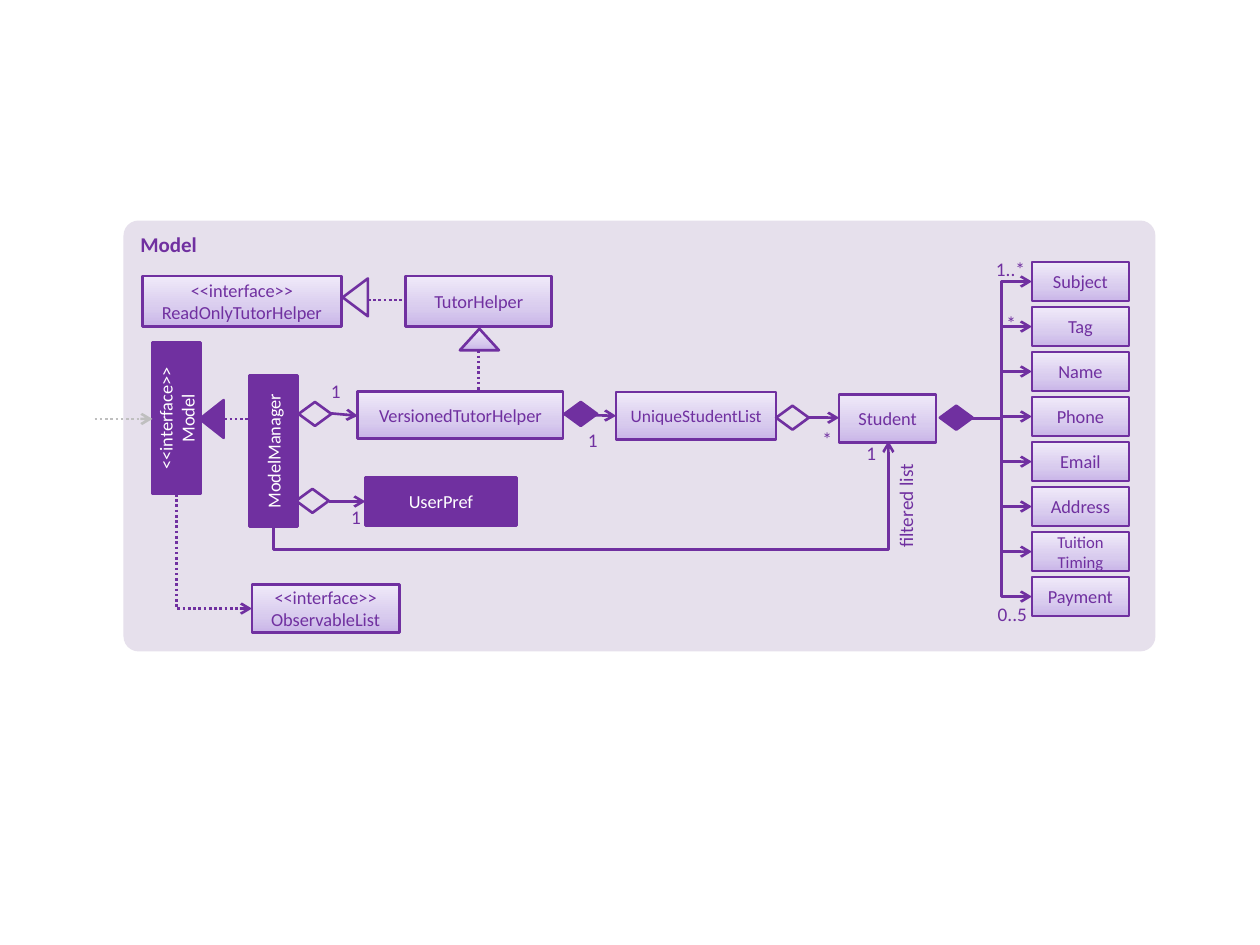
from copy import deepcopy
from dataclasses import dataclass

from lxml.etree import SubElement
from pptx import Presentation
from pptx.dml.color import RGBColor as RGB
from pptx.enum.dml import MSO_LINE
from pptx.enum.shapes import MSO_CONNECTOR as LINK, MSO_SHAPE as SHAPE
from pptx.enum.text import MSO_ANCHOR as ANCHOR, PP_ALIGN as ALIGN
from pptx.oxml.ns import qn
from pptx.util import Emu, Inches, Pt


@dataclass(frozen=True)
class Theme:
    """Colours, font and type sizes."""
    ink: str = "7030A0"
    panel: str = "E6E0EC"
    white: str = "FFFFFF"
    grey: str = "BFBFBF"
    shade: tuple = ((0, "C9B5E8"), (0.35, "D8CBEE"), (1, "F0EAF9"))
    font: str = "Calibri"
    title: float = 12
    label: float = 11
    body: float = 10.5
    small: float = 10
    tiny: float = 9.5
    stroke: float = 1.5


T = Theme()
COLS, ROWS = 100, 75
WIDTH, HEIGHT = Inches(10), Inches(7.5)


def col(n):
    """Length of n grid columns."""
    return Emu(round(WIDTH * n / COLS))


def row(n):
    """Length of n grid rows."""
    return Emu(round(HEIGHT * n / ROWS))


def frame(at):
    """Left, top, width and height from grid units."""
    x, y, w, h = at
    return col(x), row(y), col(w), row(h)


def write(sp, text, size, color, align=ALIGN.CENTER, bold=False):
    """Write paragraphs split at newlines, with line breaks at vertical tabs."""
    tf = sp.text_frame
    tf.word_wrap = True
    for i, para in enumerate(text.split("\n")):
        p = tf.add_paragraph() if i else tf.paragraphs[0]
        p.alignment = align
        for j, part in enumerate(para.split("\v")):
            if j:
                p.add_line_break()
            r = p.add_run()
            r.text = part
            r.font.name, r.font.size, r.font.bold = T.font, Pt(size), bold
            r.font.color.rgb = RGB.from_string(color)


def paint(sp, fill):
    """Fill with a colour, with the shade gradient, or not at all."""
    if fill is None:
        sp.fill.background()
    elif fill == T.shade:
        sp.fill.gradient()
        sp.fill.gradient_angle = 90
        stops = sp.element.spPr.find(qn("a:gradFill")).find(qn("a:gsLst"))
        stops.append(deepcopy(stops[-1]))
        for stop, (pos, color) in zip(sp.fill.gradient_stops, fill):
            stop.position = pos
            stop.color.rgb = RGB.from_string(color)
    else:
        sp.fill.solid()
        sp.fill.fore_color.rgb = RGB.from_string(fill)


def shape(s, kind, at, fill, outline=True, turn=0):
    """Add a preset shape."""
    sp = s.shapes.add_shape(kind, *frame(at))
    sp.shadow.inherit = False
    sp.rotation = turn
    paint(sp, fill)
    if outline:
        sp.line.color.rgb = RGB.from_string(T.ink)
        sp.line.width = Pt(T.stroke)
    else:
        sp.line.fill.background()
    return sp


def box(s, text, at, size=T.body, solid=False, turn=0):
    """Add a class box."""
    sp = shape(s, SHAPE.RECTANGLE, at, T.ink if solid else T.shade, turn=turn)
    sp.text_frame.vertical_anchor = ANCHOR.MIDDLE
    write(sp, text, size, T.white if solid else T.ink)


def diamond(s, x, y, fill=None):
    """Add an aggregation or composition diamond."""
    shape(s, SHAPE.FLOWCHART_DECISION, (x, y, 2.6, 1.9), fill)


def label(s, text, at):
    """Add a multiplicity label without insets."""
    sp = s.shapes.add_textbox(*frame(at))
    tf = sp.text_frame
    tf.margin_left = tf.margin_top = tf.margin_right = tf.margin_bottom = 0
    write(sp, text, T.label, T.ink)


def link(s, start, end, kind=LINK.STRAIGHT, color=T.ink, dotted=False, arrow=True):
    """Add a connector between two grid points."""
    c = s.shapes.add_connector(kind, col(start[0]), row(start[1]), col(end[0]), row(end[1]))
    c.line.color.rgb = RGB.from_string(color)
    c.line.width = Pt(T.stroke)
    if dotted:
        c.line.dash_style = MSO_LINE.ROUND_DOT
    if arrow:
        SubElement(c.get_or_add_ln(), qn("a:tailEnd"), type="arrow")
    SubElement(c.element.spPr, qn("a:effectLst"))
    return c


def turned_elbow(s, start, end, quarter, preset, adjust=None, dotted=False):
    """Add an elbow turned by a quarter: 1 for clockwise, -1 for the other way."""
    cx, cy = (start[0] + end[0]) / 2, (start[1] + end[1]) / 2
    flat = [(cx + quarter * (y - cy), cy - quarter * (x - cx)) for x, y in (start, end)]
    c = link(s, *flat, kind=LINK.ELBOW, dotted=dotted)
    c.element.spPr.find(qn("a:xfrm")).set("rot", str(quarter % 4 * 5400000))
    geom = c.element.spPr.find(qn("a:prstGeom"))
    geom.set("prst", preset)
    if adjust is not None:
        guides = geom.find(qn("a:avLst"))
        if guides is None:
            guides = SubElement(geom, qn("a:avLst"))
        SubElement(guides, qn("a:gd"), name="adj1", fmla=f"val {round(adjust * 100000)}")


def panel(s):
    """Add the titled background panel."""
    sp = shape(s, SHAPE.ROUNDED_RECTANGLE, (9.8, 17.5, 81.9, 34.2), T.panel, outline=False)
    sp.adjustments[0] = 0.035
    sp.text_frame.vertical_anchor = ANCHOR.TOP
    write(sp, "Model", T.title, T.ink, ALIGN.LEFT, bold=True)


def classes(s):
    """Add the main class boxes."""
    box(s, "UserPref", (29, 37.9, 12, 3.8), solid=True)
    box(s, "ModelManager", (15.7, 33.9, 12, 3.8), solid=True, turn=270)
    box(s, "<<interface>>\nModel", (8, 31.3, 12, 3.8), solid=True, turn=270)
    box(s, "VersionedTutorHelper", (28.4, 31.1, 16.3, 3.7))
    box(s, "UniqueStudentList", (48.9, 31.1, 12.7, 3.8), size=T.small)
    box(s, "Student", (66.6, 31.3, 7.7, 3.8))
    box(s, "<<interface>>\vReadOnlyTutorHelper", (11.3, 21.9, 15.8, 4))
    box(s, "<<interface>>\vObservableList", (20, 46.4, 13.9, 3.8)[:2] + (11.7, 3.8))
    box(s, "TutorHelper", (32.2, 21.9, 11.6, 4))


def relations(s):
    """Add the connectors, diamonds and triangles between the classes."""
    for start, end in (((26.1, 39.8), (29, 39.8)), ((26.2, 32.8), (28.4, 33)),
                       ((44.8, 32.9), (48.9, 33)), ((64.2, 33.15), (66.6, 33.15))):
        link(s, start, end)
    for start, end in (((17.8, 33.25), (20.1, 33.25)), ((38, 27.8), (38, 31)),
                       ((29.2, 23.8), (32.2, 23.8))):
        link(s, start, end, dotted=True, arrow=False)
    link(s, (7.5, 33.25), (12.1, 33.25), color=T.grey, dotted=True)
    turned_elbow(s, (21.7, 41.8), (70.5, 35), 1, "bentConnector3", -0.27)
    turned_elbow(s, (14, 39.2), (20, 48.3), -1, "bentConnector2", dotted=True)

    for x, y, fill in ((23.5, 38.8, None), (23.7, 31.9, None), (61.6, 32.2, None),
                       (44.8, 31.9, T.ink), (74.6, 32.2, T.ink)):
        diamond(s, x, y, fill)
    for at, fill, turn in (((15.3, 32.3, 3, 1.9), T.ink, 270),
                           ((26.7, 22.6, 3, 2), T.panel, 270),
                           ((36.5, 26.1, 3.1, 1.7), T.shade, 0)):
        shape(s, SHAPE.ISOSCELES_TRIANGLE, at, fill, turn=turn)


def attributes(s):
    """Add the evenly stacked attribute boxes and their elbows from Student."""
    names = ("Subject", "Tag", "Name", "Phone", "Email", "Address",
             "Tuition\nTiming", "Payment")
    top, height, pitch = 20.8, 3.1, 25 / 7
    for i, name in enumerate(names):
        y = top + i * pitch
        box(s, name, (81.9, y, 7.7, height), size=T.tiny if "\n" in name else T.body)
        link(s, (77.1, 33.2), (81.9, y + height / 2), kind=LINK.ELBOW)


def labels(s):
    """Add the multiplicities and the sideways caption."""
    for text, x, y, w in (("1", 46, 34, 2.1), ("*", 64.6, 33.9, 2.1), ("1", 25.7, 30.1, 1.9),
                          ("1", 27.2, 40.1, 2.1), ("1", 68.1, 35, 2.1), ("*", 79.2, 24.7, 2.1),
                          ("1..*", 77.3, 20.4, 5.8), ("0..5", 79, 47.8, 2.7)):
        label(s, text, (x, y, w, 2))
    sp = s.shapes.add_textbox(*frame((67.1, 39.2, 9.6, 2.9)))
    sp.rotation = 270
    write(sp, "filtered list", T.label, T.ink, ALIGN.RIGHT)


def main():
    """Build the class diagram slide."""
    prs = Presentation()
    prs.slide_width, prs.slide_height = WIDTH, HEIGHT
    s = prs.slides.add_slide(prs.slide_layouts[6])
    for part in (panel, classes, relations, attributes, labels):
        part(s)
    prs.save("out.pptx")


main()
